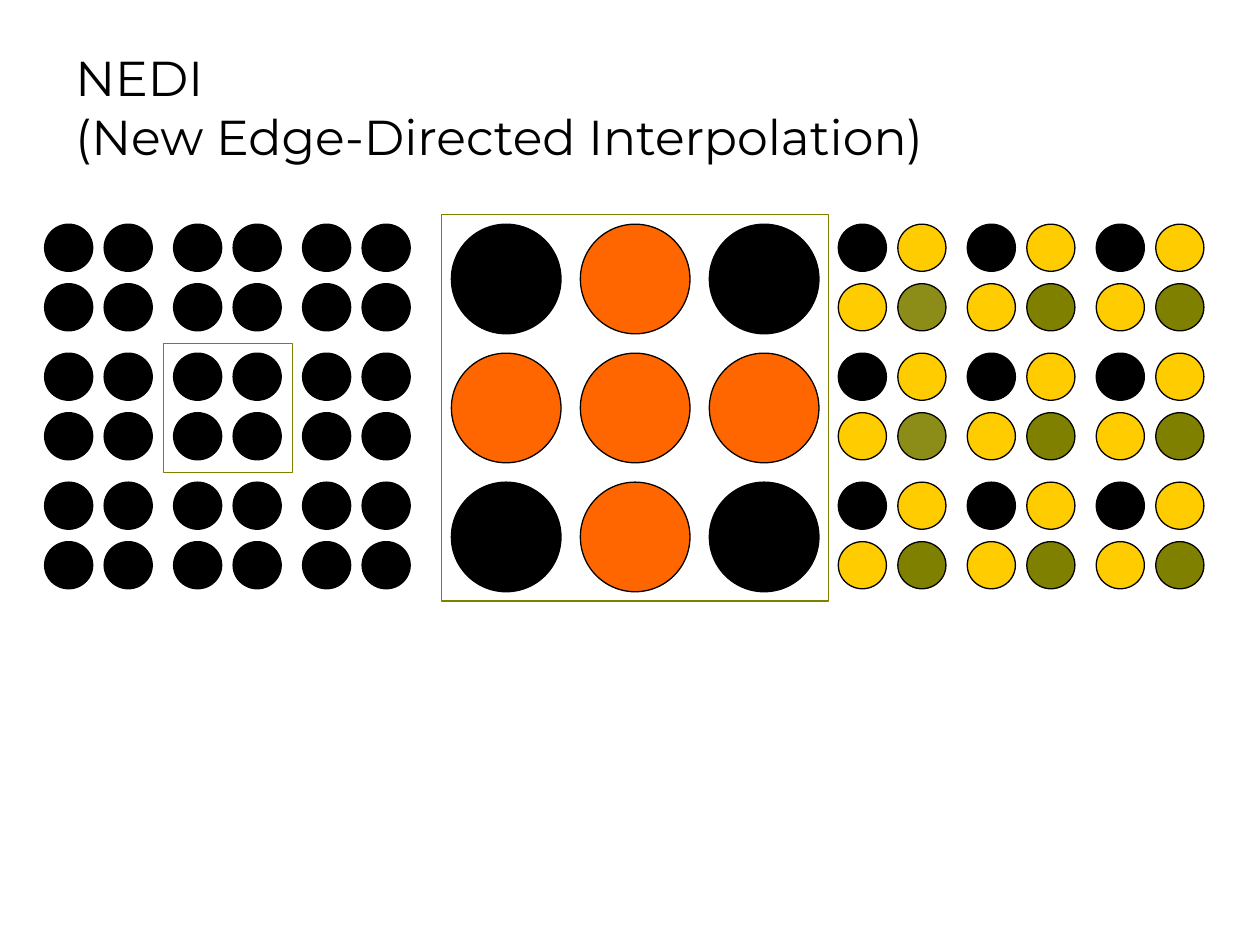
from dataclasses import dataclass
from itertools import product
from typing import Callable

from lxml.etree import SubElement
from pptx import Presentation
from pptx.dml.color import RGBColor as Color
from pptx.enum.shapes import MSO_SHAPE as Shape
from pptx.enum.text import MSO_ANCHOR as Anchor, PP_ALIGN as Align
from pptx.oxml.ns import qn
from pptx.util import Cm, Pt


@dataclass(frozen=True)
class Theme:
    font: str = "Montserrat"
    title_size: float = 28
    line_width: float = 0.75
    black: str = "000000"
    orange: str = "FF6600"
    yellow: str = "FFCC00"
    olive: str = "808000"


@dataclass(frozen=True)
class Paint:
    color: str
    opacity: int = 100


@dataclass(frozen=True)
class DotGrid:
    """Dots in square blocks; all lengths are in centimetres."""
    left: float
    width: float
    height: float
    per_block: int
    paint: Callable[[int, int], Paint]


THEME = Theme()
BLOCKS = 3
BLOCK_PITCH = 2.6
DOT_PITCH = 1.2
GRID_TOP = 4.52
FRAME_MARGIN = 0.2


def add_text(page, text: str, *, left: float, top: float, width: float,
             height: float, size: float, color: str):
    box = page.shapes.add_textbox(Cm(left), Cm(top), Cm(width), Cm(height))
    frame = box.text_frame
    frame.word_wrap = True
    frame.vertical_anchor = Anchor.BOTTOM
    frame.margin_bottom = Cm(0.05)
    para = frame.paragraphs[0]
    para.text = text
    para.alignment = Align.LEFT
    for span in para.runs:
        span.font.name = THEME.font
        span.font.size = Pt(size)
        span.font.color.rgb = Color.from_string(color)
    return box


def add_outlined(page, kind: Shape, left: float, top: float, width: float,
                 height: float, line: str, paint: Paint | None = None) -> None:
    shape = page.shapes.add_shape(kind, Cm(left), Cm(top), Cm(width), Cm(height))
    shape.shadow.inherit = False
    shape.line.color.rgb = Color.from_string(line)
    shape.line.width = Pt(THEME.line_width)
    if paint is None:
        shape.fill.background()
        return
    shape.fill.solid()
    shape.fill.fore_color.rgb = Color.from_string(paint.color)
    if paint.opacity < 100:
        color = shape.fill._xPr.find(qn("a:solidFill"))[0]
        SubElement(color, qn("a:alpha"), val=str(paint.opacity * 1000))


def draw_grid(page, grid: DotGrid) -> None:
    def offset(index: int) -> float:
        block, dot = divmod(index, grid.per_block)
        return block * BLOCK_PITCH + dot * DOT_PITCH

    for row, column in product(range(BLOCKS * grid.per_block), repeat=2):
        add_outlined(page, Shape.OVAL, grid.left + offset(column),
                     GRID_TOP + offset(row), grid.width, grid.height,
                     THEME.black, grid.paint(row, column))


def draw_frame(page, grid: DotGrid, first_block: int, blocks: int) -> None:
    """Frame a square of blocks that starts on the grid's diagonal."""
    shift = first_block * BLOCK_PITCH - FRAME_MARGIN
    side = blocks * BLOCK_PITCH
    add_outlined(page, Shape.RECTANGLE, grid.left + shift, GRID_TOP + shift,
                 side, side, THEME.olive)


def source_paint(row: int, column: int) -> Paint:
    return Paint(THEME.black)


def window_paint(row: int, column: int) -> Paint:
    """Known pixels are at the corners, the rest are interpolated."""
    return Paint(THEME.orange if row % 2 or column % 2 else THEME.black)


def result_paint(row: int, column: int) -> Paint:
    if row % 2 and column % 2:
        return Paint(THEME.olive, 90 if column == 1 and row < 4 else 100)
    return Paint(THEME.yellow if row % 2 or column % 2 else THEME.black)


def main() -> None:
    deck = Presentation()
    deck.slide_width, deck.slide_height = Cm(25.4), Cm(19.05)
    page = deck.slides.add_slide(deck.slide_layouts[6])

    add_text(page, "NEDI\v(New Edge-Directed Interpolation)",
             left=1.27, top=0.76, width=20.52, height=2.62,
             size=THEME.title_size, color=THEME.black)

    source = DotGrid(0.9, 0.97, 0.95, 2, source_paint)
    window = DotGrid(9.1, 2.21, 2.21, 1, window_paint)
    result = DotGrid(16.9, 0.97, 0.95, 2, result_paint)

    draw_grid(page, source)
    draw_frame(page, source, first_block=1, blocks=1)
    draw_frame(page, window, first_block=0, blocks=BLOCKS)
    draw_grid(page, window)
    draw_grid(page, result)
    deck.save("out.pptx")


if __name__ == "__main__":
    main()
